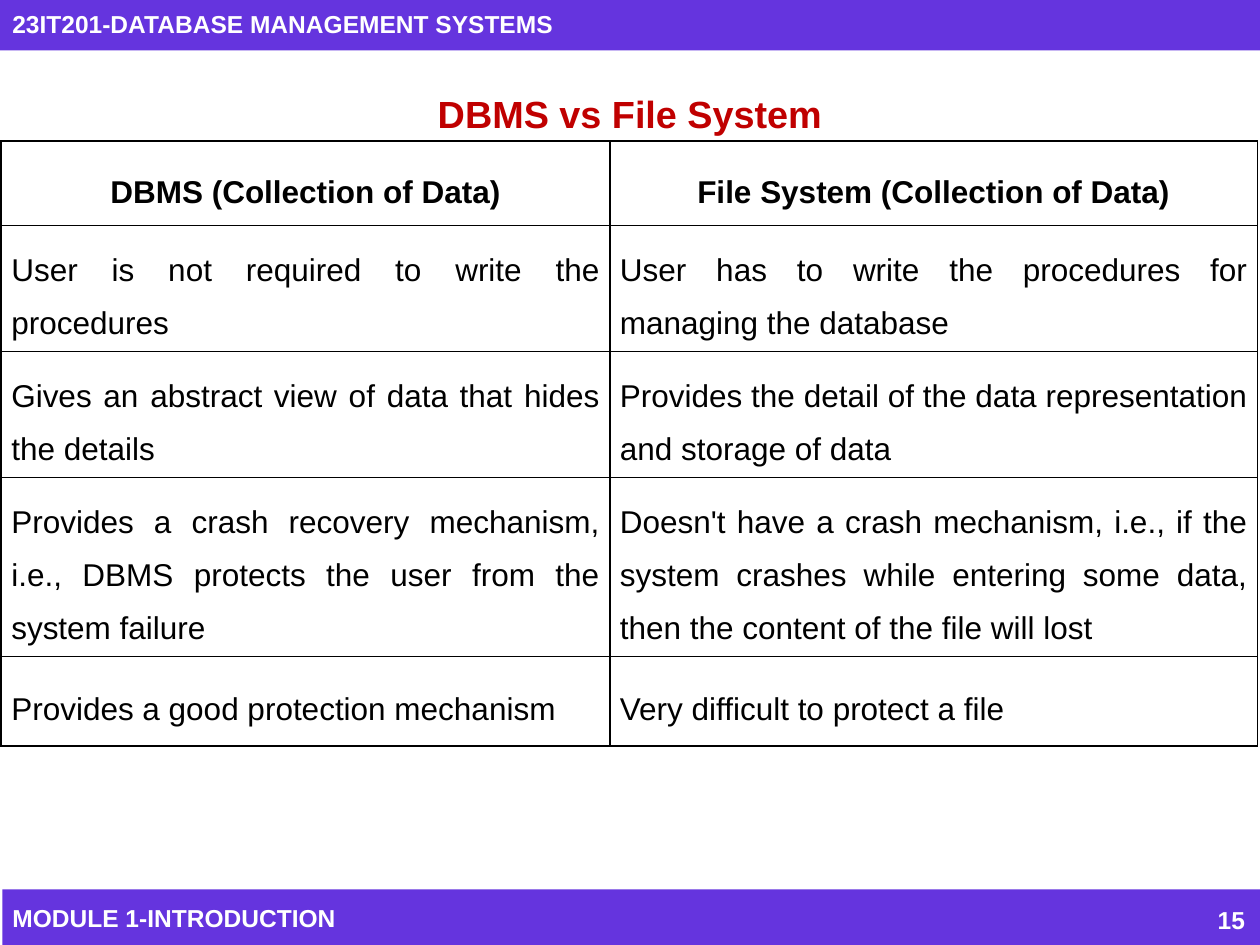
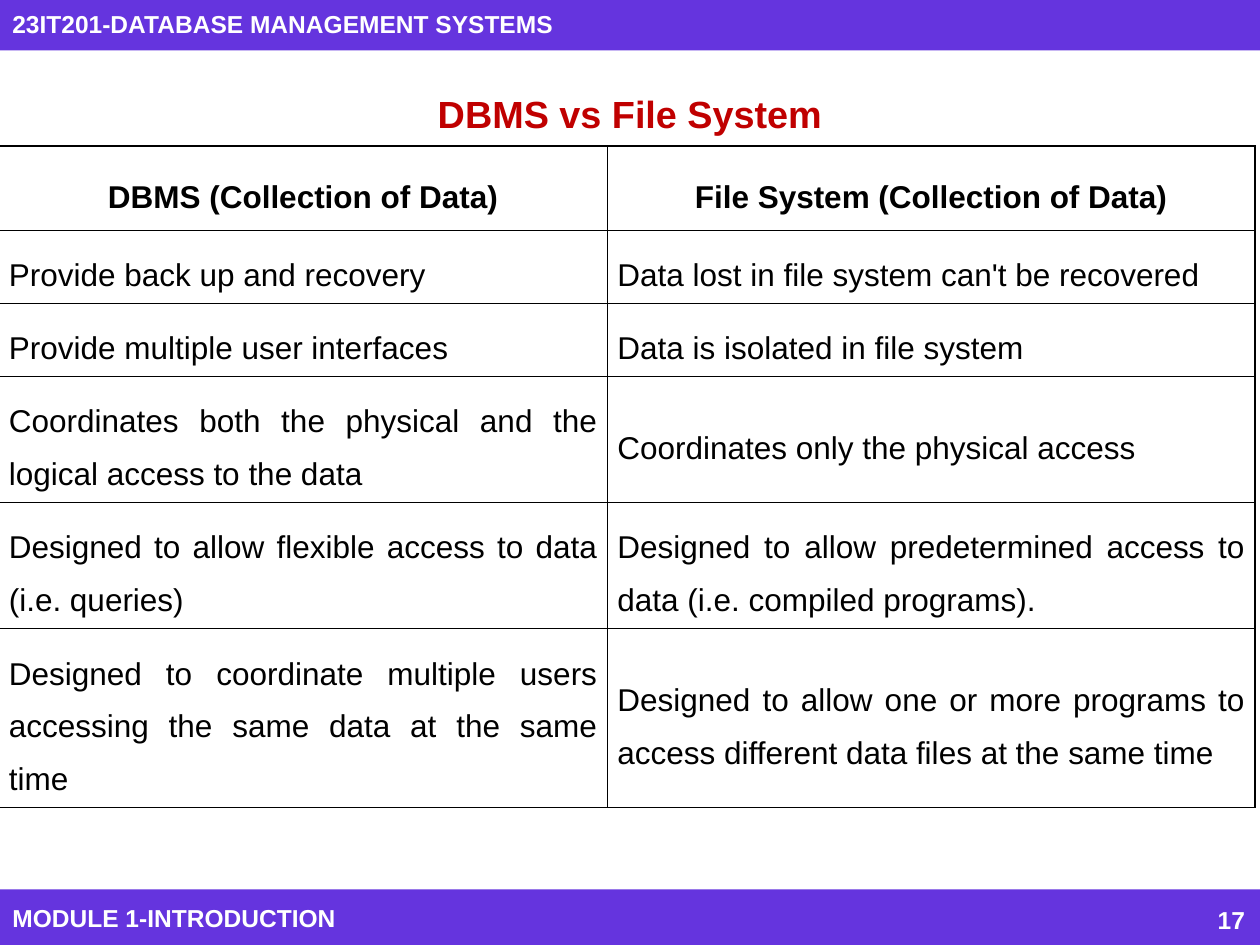
from lxml.etree import SubElement
from pptx import Presentation
from pptx.dml.color import RGBColor
from pptx.enum.shapes import MSO_SHAPE
from pptx.enum.text import MSO_ANCHOR, PP_ALIGN
from pptx.oxml.ns import qn
from pptx.util import Inches, Pt

FONT = "Arial"
PURPLE, RED, BLACK, WHITE = "6534DE", "C00000", "000000", "FFFFFF"
COLUMN_WIDTHS = (4.83, 5.14)
HEADINGS = ("DBMS (Collection of Data)", "File System (Collection of Data)")

COMPARISONS = [
    {
        "number": 15,
        "footer_left": 0.02,
        "table_at": (0.01, 1.12),
        "row_heights": (0.67, 1, 1, 1.42, 0.71),
        "rows": [
            ("User is not required to write the procedures",
             "User has to write the procedures for managing the database"),
            ("Gives an abstract view of data that hides the details",
             "Provides the detail of the data representation and storage of data"),
            ("Provides a crash recovery mechanism, i.e., DBMS protects the user "
             "from the system failure",
             "Doesn't have a crash mechanism, i.e., if the system crashes while "
             "entering some data, then the content of the file will lost"),
            ("Provides a good protection mechanism",
             "Very difficult to protect a file"),
        ],
    },
    {
        "number": 17,
        "footer_left": 0,
        "table_at": (-0.01, 1.16),
        "row_heights": (0.67, 0.58, 0.58, 1, 1, 1.42),
        "rows": [
            ("Provide back up and recovery",
             "Data lost in file system can't be recovered"),
            ("Provide multiple user interfaces",
             "Data is isolated in file system"),
            ("Coordinates both the physical and the logical access to the data",
             "Coordinates only the physical access"),
            ("Designed to allow flexible access to data (i.e. queries)",
             "Designed to allow predetermined access to data "
             "(i.e. compiled programs)."),
            ("Designed to coordinate multiple users accessing the same data "
             "at the same time",
             "Designed to allow one or more programs to access different data "
             "files at the same time"),
        ],
    },
]


def color(hex_string):
    return RGBColor.from_string(hex_string)


def write(text_frame, text, size=14, ink=WHITE, bold=True,
          align=PP_ALIGN.LEFT, line_spacing=1.0):
    text_frame.word_wrap = True
    paragraph = text_frame.paragraphs[0]
    paragraph.alignment = align
    paragraph.line_spacing = line_spacing
    run = paragraph.add_run()
    run.text = text
    run.font.name = FONT
    run.font.size = Pt(size)
    run.font.bold = bold
    run.font.color.rgb = color(ink)


def add_band(slide, box):
    band = slide.shapes.add_shape(MSO_SHAPE.RECTANGLE, *map(Inches, box))
    band.shadow.inherit = False
    band.fill.solid()
    band.fill.fore_color.rgb = color(PURPLE)
    band.line.fill.background()
    band.text_frame.vertical_anchor = MSO_ANCHOR.MIDDLE
    return band


def add_text(slide, box, text, anchor=MSO_ANCHOR.MIDDLE, **text_format):
    text_frame = slide.shapes.add_textbox(*map(Inches, box)).text_frame
    text_frame.vertical_anchor = anchor
    write(text_frame, text, **text_format)
    return text_frame


def add_header(slide):
    band = add_band(slide, (0, -0.02, 10, 0.42))
    write(band.text_frame, "23IT201-DATABASE MANAGEMENT SYSTEMS")


def add_title(slide):
    title = add_text(slide, (0.67, 0.52, 8.66, 1.5), "DBMS vs File System",
                     anchor=MSO_ANCHOR.TOP, size=21.6, ink=RED,
                     align=PP_ALIGN.CENTER, line_spacing=1.3)
    title.margin_top = Inches(0.09)


def add_footer(slide, left, number):
    top, height = 7.06, 0.44
    add_band(slide, (left, top, 10, height))
    add_text(slide, (0, top, 6.5, height), "MODULE 1-INTRODUCTION")
    add_text(slide, (7.65, top + 0.04, 2.33, 0.4), str(number),
             align=PP_ALIGN.RIGHT)


def add_borders(cell, width=1):
    properties = cell._tc.get_or_add_tcPr()
    for side in ("lnL", "lnR", "lnT", "lnB"):
        line = SubElement(properties, qn(f"a:{side}"), w=str(Pt(width)))
        fill = SubElement(line, qn("a:solidFill"))
        SubElement(fill, qn("a:srgbClr"), val=BLACK)


def format_cell(cell, text, is_heading):
    add_borders(cell)
    cell.fill.background()
    cell.vertical_anchor = MSO_ANCHOR.MIDDLE
    cell.margin_left = cell.margin_right = Inches(0.08)
    cell.margin_top = cell.margin_bottom = Inches(0.12 if is_heading else 0.08)
    write(cell.text_frame, text, size=18, ink=BLACK, bold=is_heading,
          align=PP_ALIGN.CENTER if is_heading else PP_ALIGN.JUSTIFY,
          line_spacing=Pt(30.2))


def add_comparison_table(slide, position, row_heights, rows):
    box = (*position, sum(COLUMN_WIDTHS), sum(row_heights))
    table = slide.shapes.add_table(len(row_heights), len(COLUMN_WIDTHS),
                                   *map(Inches, box)).table
    table.first_row = table.horz_banding = False
    for column, width in zip(table.columns, COLUMN_WIDTHS):
        column.width = Inches(width)
    for row, height in zip(table.rows, row_heights):
        row.height = Inches(height)
    for row_index, texts in enumerate([HEADINGS, *rows]):
        for column_index, text in enumerate(texts):
            format_cell(table.cell(row_index, column_index), text,
                        is_heading=row_index == 0)


def add_comparison_slide(presentation, comparison):
    slide = presentation.slides.add_slide(presentation.slide_layouts[6])
    add_title(slide)
    add_footer(slide, comparison["footer_left"], comparison["number"])
    add_comparison_table(slide, comparison["table_at"],
                         comparison["row_heights"], comparison["rows"])
    add_header(slide)


def main():
    presentation = Presentation()
    presentation.slide_width = Inches(10)
    presentation.slide_height = Inches(7.5)
    for comparison in COMPARISONS:
        add_comparison_slide(presentation, comparison)
    presentation.save("out.pptx")


if __name__ == "__main__":
    main()
